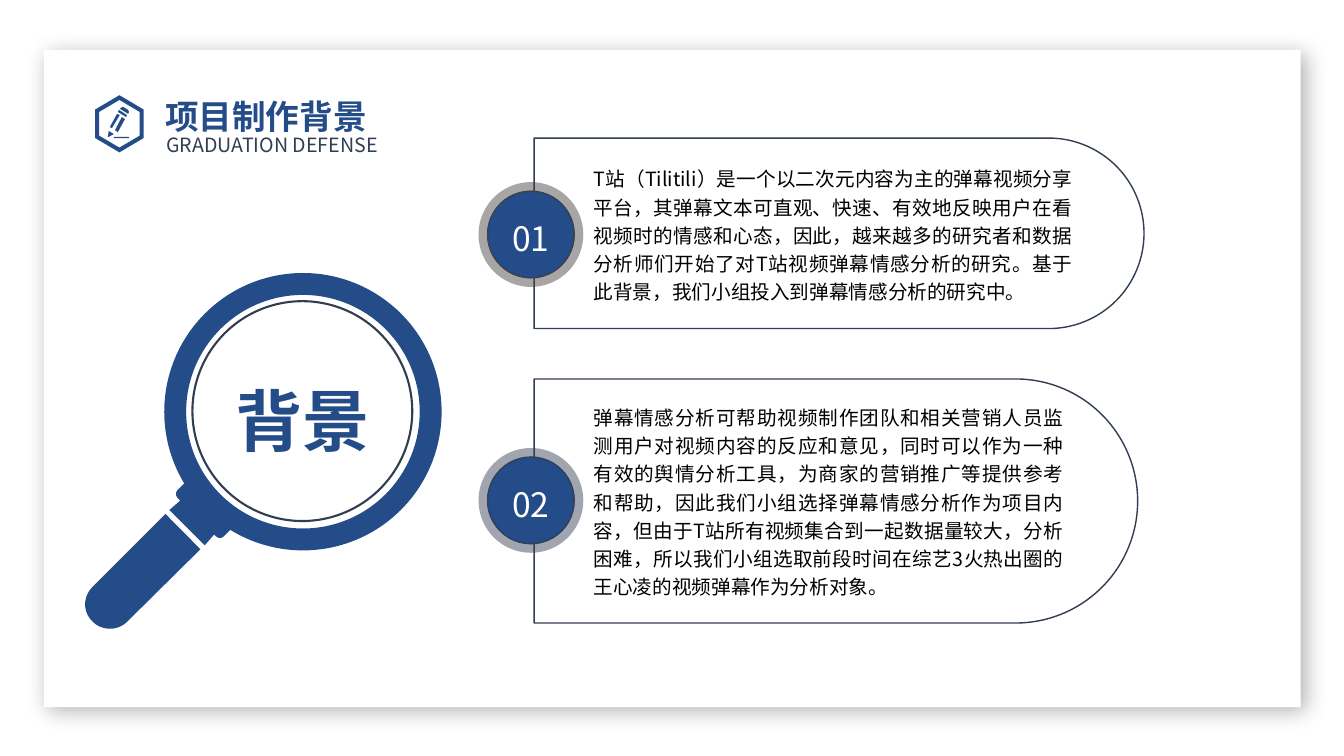
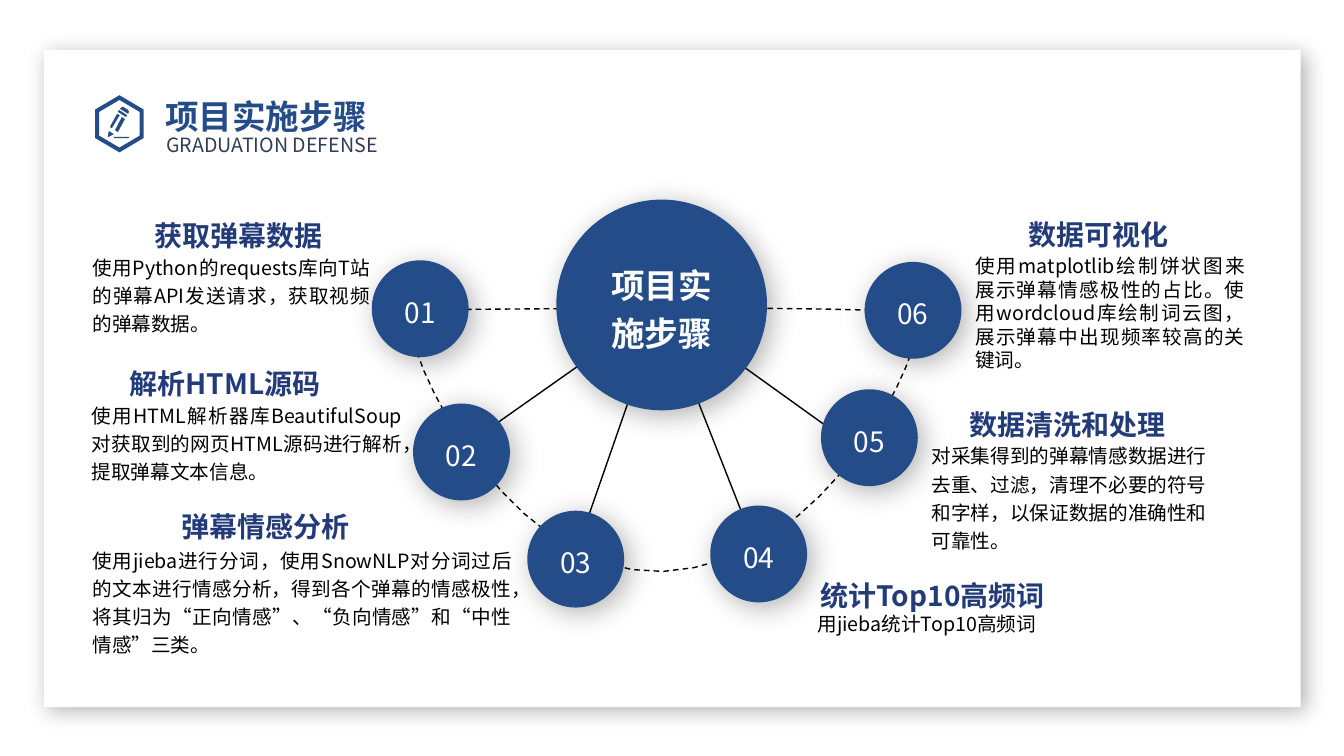
"""Builds two defence slides: project background and project steps."""
from math import cos, pi, sin
from lxml import etree
from pptx import Presentation
from pptx.dml.color import RGBColor
from pptx.enum import dml, shapes, text
from pptx.oxml.ns import qn
from pptx.util import Cm, Pt

FONT = "Noto Sans CJK SC"
HUES = {"blue": "244C89", "navy": "243B7A", "slate": "313D51",
        "brown": "433D3C", "white": "FFFFFF", "black": "000000"}
KIND = shapes.MSO_SHAPE
SIDE = {"l": text.PP_ALIGN.LEFT, "c": text.PP_ALIGN.CENTER,
        "r": text.PP_ALIGN.RIGHT, "j": text.PP_ALIGN.JUSTIFY}
HEAD = dict(size=20, hue="navy", bold=True, pad=(0.33, 0, 0.33, 0))

PENCIL = [
    [(2.87, 3.45), (3.25, 3.45), (3.25, 3.48), (2.87, 3.48)],
    [(2.9, 3.28), (3.07, 2.95), (3.15, 3), (2.97, 3.33)],
    [(2.77, 3.2), (2.95, 2.87), (3.02, 2.9), (2.82, 3.23)],
    [(2.72, 3.45), (2.74, 3.3), (2.87, 3.38), (2.74, 3.45)],
    [(3, 2.77), (2.97, 2.82), (3.18, 2.95), (3.2, 2.9)],
    [(3.05, 2.72), (3.1, 2.69), (3.23, 2.77), (3.25, 2.82),
     (3.23, 2.87), (3.02, 2.74)],
]
HANDLE = [
    [(4.17, 12.95), (5.05, 13.84), (3.2, 15.67),
     (2.97, 15.9, 2.57, 15.9, 2.34, 15.67),
     (2.08, 15.42, 2.08, 15.04, 2.34, 14.78)],
    [(4.93, 12.45), (5.08, 12.45, 5.26, 12.52, 5.36, 12.65),
     (5.61, 12.88, 5.61, 13.26, 5.36, 13.51), (5.16, 13.74), (4.27, 12.85),
     (4.5, 12.65), (4.62, 12.52, 4.78, 12.45, 4.93, 12.45)],
]
ORBIT = [[(10.52, 7.8), (11.48, 7.82, 22.07, 7.65, 23.16, 7.92),
          (23.34, 8.76, 20.96, 14.22, 16.71, 14.4),
          (12.47, 14.58, 9.58, 7.75, 10.52, 7.8)]]

POINTS = [
    ("01", 5.91, "brown", (13.46, 3.48, 15.37, 4.8), (14.71, 3.97, 12.57, 3.76),
     "T站（Tilitili）是一个以二次元内容为主的弹幕视频分享平台，其弹幕文本可直观、"
     "快速、有效地反映用户在看视频时的情感和心态，因此，越来越多的研究者和数据分析师们"
     "开始了对T站视频弹幕情感分析的研究。基于此背景，我们小组投入到弹幕情感分析的研究中。"),
    ("02", 12.61, "slate", (13.46, 9.55, 15.21, 6.15), (14.71, 9.98, 12.34, 5.28),
     "弹幕情感分析可帮助视频制作团队和相关营销人员监测用户对视频内容的反应和意见，"
     "同时可以作为一种有效的舆情分析工具，为商家的营销推广等提供参考和帮助，因此我们小组"
     "选择弹幕情感分析作为项目内容，但由于T站所有视频集合到一起数据量较大，分析困难，"
     "所以我们小组选取前段时间在综艺3火热出圈的王心凌的视频弹幕作为分析对象。"),
]
DOTS = [("01", 9.37, 6.56), ("02", 10.41, 10.17), ("03", 13.29, 12.87),
        ("04", 17.9, 12.74), ("05", 20.69, 9.81), ("06", 21.79, 6.6)]
SPOKES = [(11.15, 11.63), (14.38, 14.3), (19.15, 14.07), (22.07, 11.63)]
STEPS = [
    ("获取弹幕数据", (2.5, 5.33, 5.97, 1.07), "r",
     "使用Python的requests库向T站的弹幕API发送请求，获取视频的弹幕数据。",
     (2.08, 6.2, 7.5, 2.31), "j", 1.2),
    ("解析HTML源码", (2.44, 9.07, 5.97, 1.07), "r",
     "使用HTML解析器库BeautifulSoup对获取到的网页HTML源码进行解析，提取弹幕文本信息。",
     (2.06, 9.92, 8.33, 2.31), "j", 1.2),
    ("弹幕情感分析", (3.18, 12.67, 5.97, 1.07), "r",
     "使用jieba进行分词，使用SnowNLP对分词过后的文本进行情感分析，得到各个弹幕的情感极性，"
     "将其归为“正向情感”、“负向情感”和“中性情感”三类。",
     (2.08, 13.58, 11.07, 3.02), "j", 1.2),
    ("统计Top10高频词", (20.35, 14.4, 6.71, 1.19), "l",
     "用jieba统计Top10高频词", (20.35, 15.29, 6.4, 0.86), "l", 1.0),
    ("数据清洗和处理", (24.1, 10.1, 5.97, 1.07), "l",
     "对采集得到的弹幕情感数据进行去重、过滤，清理不必要的符号和字样，"
     "以保证数据的准确性和可靠性。", (23.23, 10.95, 7.9, 3.02), "l", 1.2),
    ("数据可视化", (25.58, 5.3, 5.97, 1.07), "l",
     "使用matplotlib绘制饼状图来展示弹幕情感极性的占比。使用wordcloud库绘制词云图，"
     "展示弹幕中出现频率较高的关键词。", (24.33, 6.27, 7.29, 3.25), "j", 1.0),
]


def rgb(hue):
    """Return the colour of a named hue."""
    return RGBColor.from_string(HUES[hue])


def write(shape, words, size=14, hue="black", bold=False, side="l", gap=1.2,
          mid=False, pad=(0.25, 0.13, 0.25, 0.13)):
    """Put formatted text into a shape."""
    frame = shape.text_frame
    frame.word_wrap = True
    frame.auto_size = text.MSO_AUTO_SIZE.NONE
    frame.vertical_anchor = text.MSO_ANCHOR.MIDDLE if mid else text.MSO_ANCHOR.TOP
    (frame.margin_left, frame.margin_top,
     frame.margin_right, frame.margin_bottom) = map(Cm, pad)
    para = frame.paragraphs[0]
    para.alignment, para.line_spacing = SIDE[side], gap
    run = para.add_run()
    run.text = words
    font = run.font
    font.name, font.size, font.bold = FONT, Pt(size), bold
    font.color.rgb = rgb(hue)
    etree.SubElement(run._r.get_or_add_rPr(), qn("a:ea"), typeface=FONT)


def label(slide, box, words, **style):
    """Add a text box."""
    note = slide.shapes.add_textbox(*map(Cm, box))
    write(note, words, **style)
    return note


def paint(shape, fill=None, line=None, width=1.0, alpha=None, blur=None):
    """Set fill, outline and shadow of a shape."""
    shape.shadow.inherit = False
    if fill:
        shape.fill.solid()
        shape.fill.fore_color.rgb = rgb(fill)
    else:
        shape.fill.background()
    if line:
        shape.line.color.rgb = rgb(line)
        shape.line.width = Pt(width)
    else:
        shape.line.fill.background()
    props = shape.element.spPr
    if alpha:
        tint = props.find(qn("a:solidFill"))[0]
        etree.SubElement(tint, qn("a:alpha"), val=str(alpha * 1000))
    if blur:
        cast = etree.SubElement(
            props.find(qn("a:effectLst")), qn("a:outerShdw"), blurRad=str(Pt(blur)),
            dist=str(Pt(5)), dir="2700000", algn="tl", rotWithShape="0")
        tint = etree.SubElement(cast, qn("a:srgbClr"), val=HUES["black"])
        etree.SubElement(tint, qn("a:alpha"), val="30000")


def block(slide, kind, box, adj=(), turn=0, **look):
    """Add a painted preset shape."""
    shape = slide.shapes.add_shape(kind, *map(Cm, box))
    for i, val in enumerate(adj):
        shape.adjustments[i] = val
    shape.rotation = turn
    paint(shape, **look)
    return shape


def trace(path, steps=16):
    """Turn points and cubic curves into a list of points in EMU."""
    spots = [path[0]]
    for part in path[1:]:
        if len(part) == 2:
            spots.append(part)
            continue
        ends = [spots[-1], part[:2], part[2:4], part[4:]]
        for k in range(1, steps + 1):
            t = k / steps
            mix = ((1 - t) ** 3, 3 * t * (1 - t) ** 2, 3 * t * t * (1 - t), t ** 3)
            spots.append(tuple(sum(m * e[a] for m, e in zip(mix, ends))
                               for a in (0, 1)))
    return [(Cm(x), Cm(y)) for x, y in spots]


def outline(slide, paths, **look):
    """Add a freeform made of closed paths."""
    lines = [trace(path) for path in paths]
    form = slide.shapes.build_freeform(*lines[0][0], scale=1.0)
    for i, spots in enumerate(lines):
        if i:
            form.move_to(*spots[0])
        form.add_line_segments(spots[1:], close=True)
    shape = form.convert_to_shape()
    paint(shape, **look)
    return shape


def hexa(x, y, wide, high):
    """Return the corners of an upright hexagon."""
    half = wide / cos(pi / 6)
    return [(x + half * sin(k * pi / 3), y - high * cos(k * pi / 3))
            for k in range(6)]


def disc(slide, x, y, size, words=None, big=20, **look):
    """Add a filled circle with an optional number."""
    ball = block(slide, KIND.OVAL, (x, y, size, size), fill="blue", **look)
    if words:
        write(ball, words, size=big, hue="white", side="c", mid=True)


def pill(slide, x, y, wide, high):
    """Add an outlined box with a round right end."""
    box = (x + (wide - high) / 2, y + (high - wide) / 2, high, wide)
    block(slide, KIND.ROUND_2_SAME_RECTANGLE, box, (0.5, 0), 90, line="slate")


def spoke(slide, start, end):
    """Add a thin straight line."""
    link = slide.shapes.add_connector(shapes.MSO_CONNECTOR.STRAIGHT,
                                      *map(Cm, start + end))
    link.line.color.rgb = rgb("black")
    link.line.width = Pt(1)
    etree.SubElement(link.element.spPr, qn("a:effectLst"))


def dress(slide):
    """Draw the shared panel, icon and subtitle and move them to the layout."""
    rings = [hexa(3.01, 3.12, 0.61, 0.72), hexa(3.01, 3.12, 0.51, 0.6)]
    parts = [
        block(slide, KIND.RECTANGLE, (1.11, 1.26, 31.67, 16.56),
              fill="white", blur=15),
        outline(slide, rings + PENCIL, fill="blue"),
        label(slide, (4.19, 3.13, 6, 0.86), "GRADUATION DEFENSE", hue="slate",
              gap=Pt(23), pad=(0, 0, 0, 0.13)),
    ]
    for part in parts:
        slide.slide_layout.shapes.element.append(part.element)


def page(deck, words):
    """Add a slide with its title."""
    slide = deck.slides.add_slide(deck.slide_layouts[5])
    head = slide.shapes.title
    head.left, head.top, head.width, head.height = map(Cm, (3.91, 2.08, 10.08, 1.27))
    write(head, words, size=24, hue="blue", bold=True)
    return slide


def lens(slide):
    """Draw the magnifying glass."""
    glass = block(slide, KIND.OVAL, (4.85, 7.59, 5.54, 5.54), line="slate", width=1.5)
    write(glass, "背景", size=48, hue="blue", bold=True, side="c", mid=True,
          pad=(0, 0, 0, 0))
    block(slide, KIND.DONUT, (4.14, 6.88, 6.99, 6.99), (0.079,), fill="blue")
    outline(slide, HANDLE, fill="blue")
    block(slide, KIND.ROUNDED_RECTANGLE, (4.42, 12.34, 1.65, 0.81), turn=45,
          fill="blue")


def origin(slide):
    """Fill the background slide."""
    for point in POINTS:
        pill(slide, *point[3])
    lens(slide)
    for num, y, hue, _, box, words in POINTS:
        label(slide, box, words, side="j")
        disc(slide, 12.28, y - 1.1, 2.2, num, 24, line="slate", width=0.5)
        block(slide, KIND.DONUT, (12.06, y - 1.32, 2.64, 2.64), (0.096,),
              fill=hue, alpha=46)


def plan(slide):
    """Fill the steps slide."""
    orbit = outline(slide, ORBIT, line="black")
    orbit.line.dash_style = dml.MSO_LINE.DASH
    for start in SPOKES:
        spoke(slide, start, (16.66, 7.75))
    for num, x, y in DOTS:
        disc(slide, x, y, 2.44, num, blur=20)
    for head, spot, side, words, box, flow, gap in STEPS:
        label(slide, spot, head, side=side, **HEAD)
        label(slide, box, words, side=flow, gap=gap)
    disc(slide, 14.02, 5.03, 5.31, blur=20)
    core = block(slide, KIND.RECTANGLE, (15.39, 6.38, 2.57, 2.62), fill="blue")
    write(core, "项目实施步骤", size=24, hue="white", bold=True, side="c", mid=True,
          pad=(0, 0, 0, 0))


def main():
    """Build and save the deck."""
    deck = Presentation()
    deck.slide_width, deck.slide_height = Cm(33.87), Cm(19.05)
    first = page(deck, "项目制作背景")
    dress(first)
    origin(first)
    plan(page(deck, "项目实施步骤"))
    deck.save("out.pptx")


if __name__ == "__main__":
    main()
